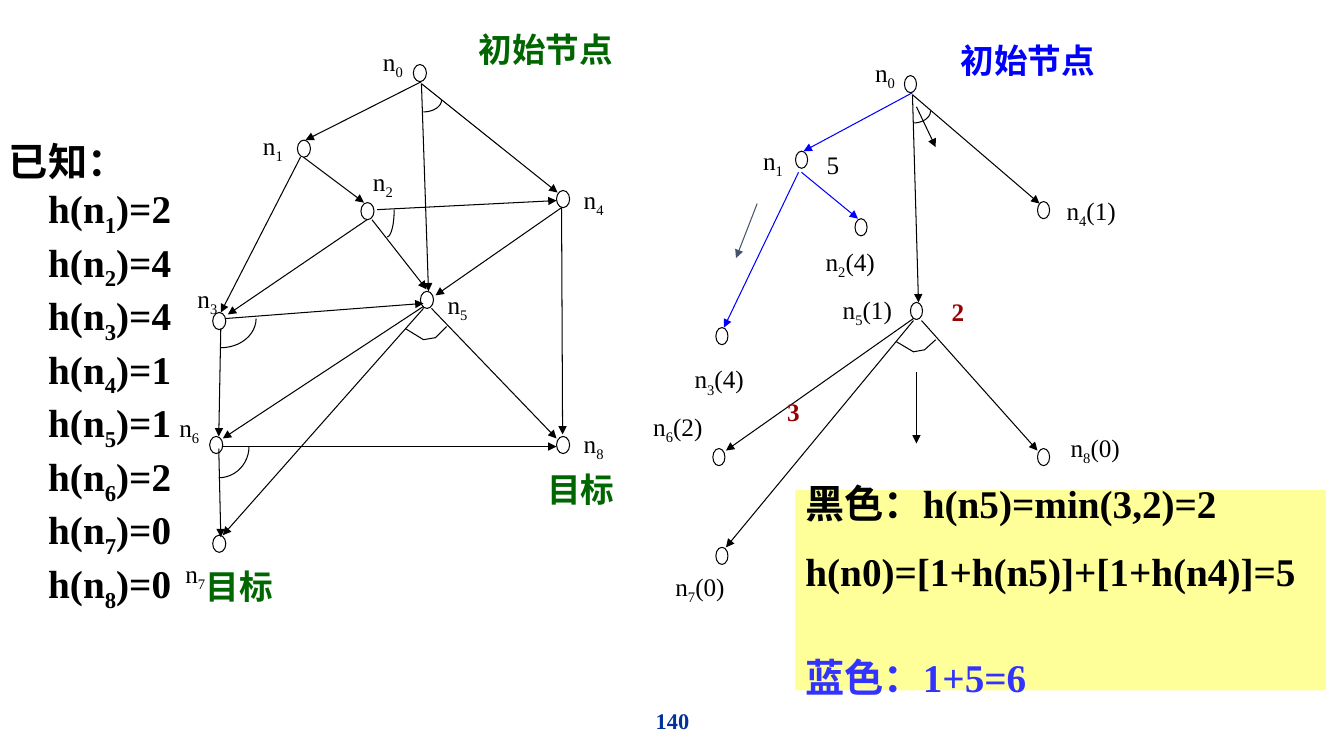
from math import cos, pi, sin

from lxml.etree import SubElement
from pptx import Presentation
from pptx.dml.color import RGBColor
from pptx.enum.shapes import MSO_CONNECTOR, MSO_SHAPE
from pptx.enum.text import MSO_ANCHOR, PP_ALIGN
from pptx.oxml.ns import qn
from pptx.util import Inches, Pt

FONT = "Times New Roman"
COLORS = {"black": "000000", "blue": "0000FF", "violet": "3333FF", "green": "006600",
          "red": "990000", "navy": "003399", "slate": "44546A", "yellow": "FFFF99"}

H_VALUES = [2, 4, 4, 1, 1, 2, 0, 0]
# text, colour, space before in points
RESULTS = [("黑色：h(n5)=min(3,2)=2", "black", 0),
           ("h(n0)=[1+h(n5)]+[1+h(n4)]=5", "black", 15),
           ("蓝色：1+5=6", "violet", 42)]

# Left, top of each node; "_" marks the subscript in a label
GRAPH_NODES = [(4.1, 0.64), (2.95, 1.39), (3.58, 2.01), (2.11, 3.1), (5.52, 1.89),
               (4.17, 2.89), (2.08, 4.33), (2.11, 5.31), (5.52, 4.33)]
GRAPH_LABELS = [("n_0", 3.7, 0.43), ("n_1", 2.51, 1.26), ("n_2", 3.6, 1.62),
                ("n_3", 1.86, 2.78), ("n_4", 5.69, 1.8), ("n_5", 4.34, 2.84),
                ("n_6", 1.68, 4.06), ("n_7", 1.74, 5.51), ("n_8", 5.69, 4.22)]
GRAPH_ARROWS = [
    (4.18, 0.81, 3.03, 1.39), (4.18, 0.83, 4.25, 2.89), (4.18, 0.83, 5.53, 1.91),
    (2.98, 1.56, 2.19, 3.1), (3.01, 1.56, 3.61, 2.01), (3.69, 2.18, 4.23, 2.87),
    (3.74, 2.08, 5.52, 1.99), (3.64, 2.18, 2.26, 3.12), (2.24, 3.16, 4.2, 3.01),
    (2.19, 3.26, 2.17, 4.33), (5.57, 2.06, 4.32, 2.93), (5.57, 2.06, 5.58, 4.31),
    (4.2, 3.04, 2.21, 4.35), (4.2, 3.06, 2.21, 5.31), (4.28, 3.06, 5.52, 4.35),
    (2.21, 4.43, 5.52, 4.43), (2.17, 4.45, 2.19, 5.33)]

TREE_NODES = [(8.97, 0.75), (7.89, 1.5), (8.48, 2.17), (7.1, 3.25), (10.29, 2),
              (9.03, 3), (7.07, 4.45), (7.1, 5.43), (10.29, 4.45)]
TREE_LABELS = [("n_0", 8.58, 0.54), ("n_1", 7.47, 1.41), ("n_2(4)", 8.09, 2.41),
               ("n_3(4)", 6.79, 3.58), ("n_4(1)", 10.48, 1.91), ("n_5(1)", 8.26, 2.89),
               ("n_6(2)", 6.38, 4.05), ("n_7(0)", 6.6, 5.64), ("n_8(0)", 10.52, 4.26),
               ("5", 8.1, 1.43)]
TREE_ARROWS = [
    (9.05, 0.94, 9.11, 3), (9.05, 0.94, 10.31, 2.02), (9.06, 3.16, 7.2, 4.47),
    (9.06, 3.18, 7.2, 5.43), (9.14, 3.18, 10.29, 4.47),
    (9.09, 1.06, 9.28, 1.46), (9.09, 3.69, 9.09, 4.4)]
BLUE_ARROWS = [(9.05, 0.92, 7.97, 1.5), (7.92, 1.71, 7.18, 3.25), (7.95, 1.71, 8.51, 2.17)]
SLATE_ARROWS = [(7.51, 2.02, 7.3, 2.56)]

COSTS = [("2", 9.34, 2.89), ("3", 7.71, 3.88)]
# text, left, top, width, colour
TITLES = [("初始节点", 4.65, 0.24, 1.54, "green"), ("初始节点", 9.43, 0.35, 1.54, "blue"),
          ("目标", 1.94, 5.56, 0.87, "green"), ("目标", 5.33, 4.6, 0.87, "green")]
# Centre x, centre y, radius across, radius down
AND_ARCS = [(9.06, 1.1, 0.17, 0.12), (4.2, 0.99, 0.18, 0.12), (3.84, 2.08, 0.07, 0.27),
            (2.19, 3.16, 0.35, 0.29), (2.17, 4.43, 0.3, 0.31)]
AND_BRACKETS = [[(8.89, 3.39), (9.06, 3.49), (9.17, 3.47), (9.28, 3.37)],
                [(4.02, 3.26), (4.2, 3.37), (4.32, 3.35), (4.43, 3.24)]]

prs = Presentation()
prs.slide_width, prs.slide_height = Inches(13.33), Inches(7.5)
shapes = prs.slides.add_slide(prs.slide_layouts[6]).shapes


def rgb(name):
    return RGBColor.from_string(COLORS[name])


def add_runs(p, text, size=18, color="black", bold=False):
    """Write text into p; the character after "_" is a subscript."""
    base, _, rest = text.partition("_")
    for part, is_sub in ((base, False), (rest[:1], True), (rest[1:], False)):
        if not part:
            continue
        r = p.add_run()
        r.text = part
        r.font.name, r.font.size, r.font.bold = FONT, Pt(size), bold
        r.font.color.rgb = rgb(color)
        if is_sub:
            r._r.get_or_add_rPr().set("baseline", "-25000")


def text_box(text, x, y, w, h, align=PP_ALIGN.LEFT, wrap=False, **fmt):
    tf = shapes.add_textbox(Inches(x), Inches(y), Inches(w), Inches(h)).text_frame
    tf.word_wrap, tf.vertical_anchor = wrap, MSO_ANCHOR.MIDDLE
    tf.paragraphs[0].alignment = align
    add_runs(tf.paragraphs[0], text, **fmt)
    return tf


def outline(sp):
    sp.shadow.inherit = False
    sp.fill.background()
    sp.line.color.rgb, sp.line.width = rgb("black"), Pt(0.75)


def node(x, y, w):
    outline(shapes.add_shape(MSO_SHAPE.OVAL, Inches(x), Inches(y), Inches(w), Inches(0.17)))


def arrow(x1, y1, x2, y2, color="black"):
    c = shapes.add_connector(MSO_CONNECTOR.STRAIGHT, *map(Inches, (x1, y1, x2, y2)))
    c.line.color.rgb, c.line.width = rgb(color), Pt(0.75)
    SubElement(c.line._get_or_add_ln(), qn("a:tailEnd"), type="triangle")
    SubElement(c._element.spPr, qn("a:effectLst"))


def open_curve(points):
    (x, y), *rest = [(Inches(px), Inches(py)) for px, py in points]
    fb = shapes.build_freeform(x, y)
    fb.add_line_segments(rest, close=False)
    outline(fb.convert_to_shape())


def quarter_arc(cx, cy, rx, ry, steps=12):
    angles = [pi / 2 * i / steps for i in range(steps + 1)]
    open_curve([(cx + rx * cos(a), cy + ry * sin(a)) for a in angles])


# Page number and result panel
text_box("140", 4.42, 6.95, 4.5, 0.4, align=PP_ALIGN.CENTER, size=16, color="navy", bold=True)
panel = shapes.add_shape(MSO_SHAPE.RECTANGLE, Inches(7.89), Inches(4.86), Inches(5.26), Inches(1.99))
panel.shadow.inherit = False
panel.fill.solid()
panel.fill.fore_color.rgb = rgb("yellow")
panel.line.fill.background()
tf = panel.text_frame
tf.word_wrap, tf.vertical_anchor = True, MSO_ANCHOR.MIDDLE
for i, (text, color, before) in enumerate(RESULTS):
    p = tf.add_paragraph() if i else tf.paragraphs[0]
    p.alignment = PP_ALIGN.LEFT
    if before:
        p.space_before = Pt(before)
    add_runs(p, text, size=28, color=color, bold=True)

# Both graphs
for nodes, width in ((TREE_NODES, 0.12), (GRAPH_NODES, 0.13)):
    for x, y in nodes:
        node(x, y, width)
for arrows, color in ((GRAPH_ARROWS + TREE_ARROWS, "black"), (BLUE_ARROWS, "blue"),
                      (SLATE_ARROWS, "slate")):
    for ends in arrows:
        arrow(*ends, color=color)
for arc in AND_ARCS:
    quarter_arc(*arc)
for bracket in AND_BRACKETS:
    open_curve(bracket)

# Labels
for text, x, y in GRAPH_LABELS + TREE_LABELS:
    width = 0.7 if "(" in text else 0.41 if "_" in text else 0.33
    text_box(text, x, y, width, 0.4)
for text, x, y in COSTS:
    text_box(text, x, y, 0.33, 0.4, color="red", bold=True)
for text, x, y, w, color in TITLES:
    text_box(text, x, y, w, 0.5, size=24, color=color, bold=True)

# Known heuristic values
tf = text_box("已知：", -0.01, 1.55, 2.03, 4.34, wrap=True, size=28, bold=True)
for i, value in enumerate(H_VALUES, 1):
    p = tf.add_paragraph()
    p._p.get_or_add_pPr().set("marL", str(Inches(0.39)))
    add_runs(p, f"h(n_{i})={value}", size=28, bold=True)

prs.save("out.pptx")
